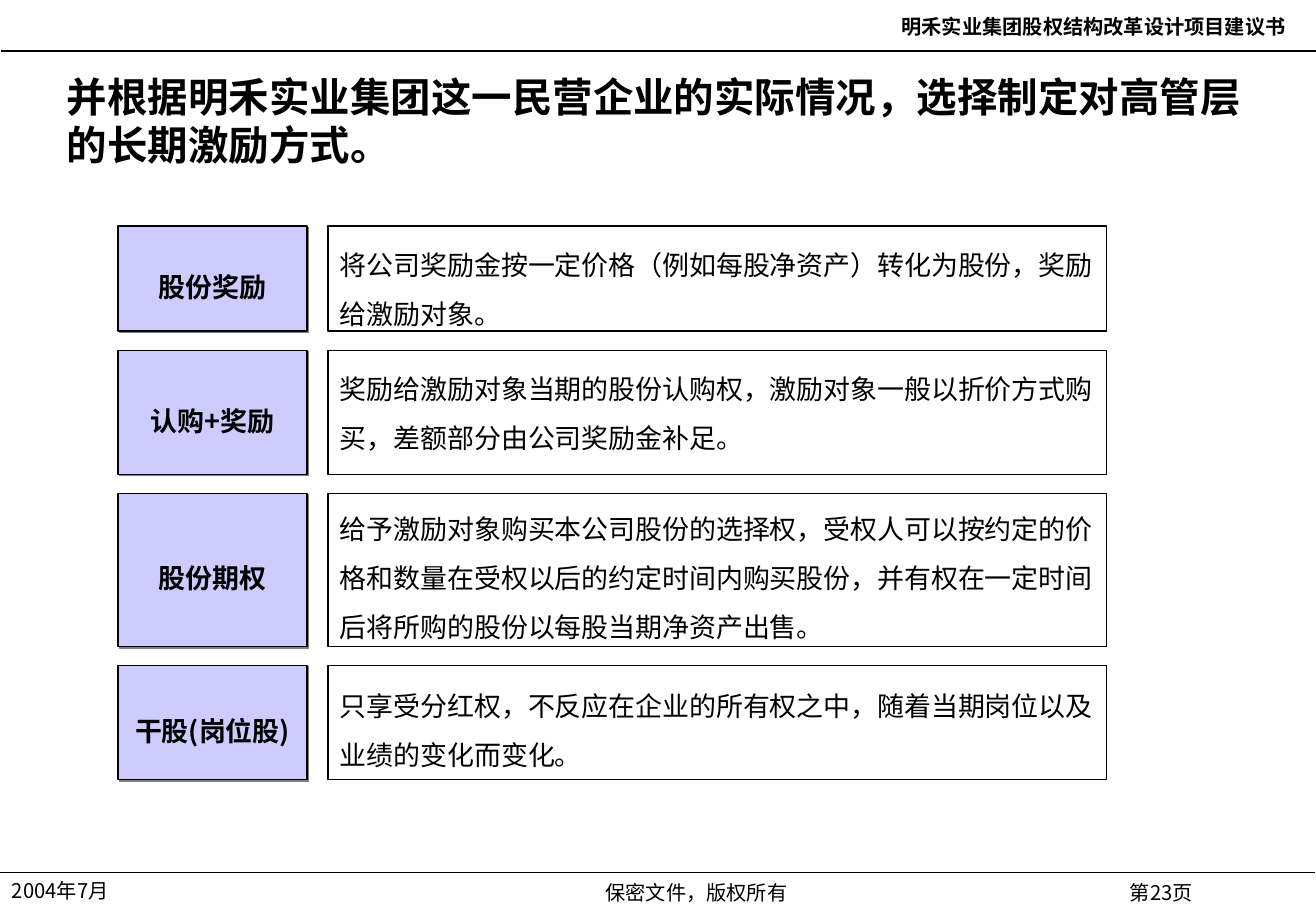
from lxml import etree
from pptx import Presentation
from pptx.dml.color import RGBColor
from pptx.enum.shapes import MSO_CONNECTOR, MSO_SHAPE
from pptx.enum.text import MSO_ANCHOR, PP_ALIGN
from pptx.oxml.ns import qn
from pptx.util import Emu, Inches, Pt

LEFT, CENTER, RIGHT = PP_ALIGN.LEFT, PP_ALIGN.CENTER, PP_ALIGN.RIGHT
TOP, MIDDLE = MSO_ANCHOR.TOP, MSO_ANCHOR.MIDDLE
RECT, STRAIGHT = MSO_SHAPE.RECTANGLE, MSO_CONNECTOR.STRAIGHT

COLORS = {"ink": "000000", "label": "CCCCFF", "shadow": "808080"}
SANS, SERIF = "Noto Sans CJK SC", "Times New Roman"

STYLES = {
    "title": {"size": Pt(24), "bold": True, "name": SERIF, "spacing": Pt(28.5)},
    "label": {"size": Pt(16), "bold": True, "name": SANS, "spacing": Pt(29)},
    "body": {"size": Pt(16), "bold": False, "name": SANS, "spacing": Pt(29)},
    "header": {"size": Pt(12), "bold": True, "name": SANS, "spacing": Pt(15)},
    "footer": {"size": Pt(12), "bold": False, "name": SANS, "spacing": Pt(14)},
    "notice": {"size": Pt(12), "bold": False, "name": SERIF, "spacing": Pt(14)},
}

TEXTS = [
    ("明禾实业集团股权结构改革设计项目建议书", (838, 7, 460, 36), "header", RIGHT, TOP),
    ("并根据明禾实业集团这一民营企业的实际情况，选择制定对高管层的长期激励方式。",
     (55, 63, 1204, 115), "title", LEFT, MIDDLE),
    ("2004年7月", (0, 872, 220, 36), "footer", LEFT, TOP),
    ("保密文件，版权所有", (340, 874, 713, 36), "notice", CENTER, TOP),
    ("第23页", (1063, 874, 197, 36), "footer", CENTER, TOP),
]

INCENTIVES = [
    ("股份奖励", "将公司奖励金按一定价格（例如每股净资产）转化为股份，奖励给激励对象。", 105, TOP),
    ("认购+奖励",
     "奖励给激励对象当期的股份认购权，激励对象一般以折价方式购买，差额部分由公司奖励金补足。", 124, TOP),
    ("股份期权",
     "给予激励对象购买本公司股份的选择权，受权人可以按约定的价格和数量在受权以后的约定时间内"
     "购买股份，并有权在一定时间后将所购的股份以每股当期净资产出售。", 153, MIDDLE),
    ("干股(岗位股)",
     "只享受分红权，不反应在企业的所有权之中，随着当期岗位以及业绩的变化而变化。", 114, MIDDLE),
]

RULES = [(1, 51, 1317), (0, 872, 1315)]
LABEL_X, LABEL_W = 118, 189
BODY_X, BODY_W = 328, 779
FIRST_TOP, ROW_GAP = 226, 19


def px(n):
    return Emu(n * 7532)


def rgb(name):
    return RGBColor.from_string(COLORS[name])


def write(shape, text, style, align, anchor, wrap=True):
    tf = shape.text_frame
    frame = {"word_wrap": wrap, "vertical_anchor": anchor, "margin_left": px(12),
             "margin_right": px(8 if style == "body" else 12),
             "margin_top": px(6), "margin_bottom": px(6)}
    for key, value in frame.items():
        setattr(tf, key, value)
    p = tf.paragraphs[0]
    p.alignment = align
    p.line_spacing = STYLES[style]["spacing"]
    r = p.add_run()
    r.text = text
    for key in ("size", "bold", "name"):
        setattr(r.font, key, STYLES[style][key])
    r.font.color.rgb = rgb("ink")
    etree.SubElement(r.font._element, qn("a:ea"), typeface=SANS)


def add_box(s, box, fill=None):
    sp = s.shapes.add_shape(RECT, *map(px, box))
    sp.shadow.inherit = False
    sp.line.color.rgb = rgb("ink")
    sp.line.width = Pt(0.75)
    if fill:
        sp.fill.solid()
        sp.fill.fore_color.rgb = rgb(fill)
    else:
        sp.fill.background()
    return sp


def add_shadow(sp):
    effects = sp._element.spPr.find(qn("a:effectLst"))
    shadow = etree.SubElement(effects, qn("a:outerShdw"), dist=str(Pt(1.4)),
                              dir="2700000", algn="ctr", rotWithShape="0")
    etree.SubElement(shadow, qn("a:srgbClr"), val=COLORS["shadow"])


def add_rule(s, start, y, end):
    line = s.shapes.add_connector(STRAIGHT, px(start), px(y), px(end), px(y))
    line.line.color.rgb = rgb("ink")
    line.line.width = Pt(0.75)
    etree.SubElement(line._element.spPr, qn("a:effectLst"))


def main():
    prs = Presentation()
    prs.slide_width, prs.slide_height = Inches(10.84), Inches(7.5)
    s = prs.slides.add_slide(prs.slide_layouts[6])
    for rule in RULES:
        add_rule(s, *rule)
    for text, box, style, align, anchor in TEXTS:
        write(s.shapes.add_textbox(*map(px, box)), text, style, align, anchor)
    top = FIRST_TOP
    for label, body, height, anchor in INCENTIVES:
        sp = add_box(s, (LABEL_X, top, LABEL_W, height), "label")
        add_shadow(sp)
        write(sp, label, "label", CENTER, MIDDLE, wrap=False)
        sp = add_box(s, (BODY_X, top, BODY_W, height))
        write(sp, body, "body", LEFT, anchor)
        top += height + ROW_GAP
    prs.save("out.pptx")


if __name__ == "__main__":
    main()
